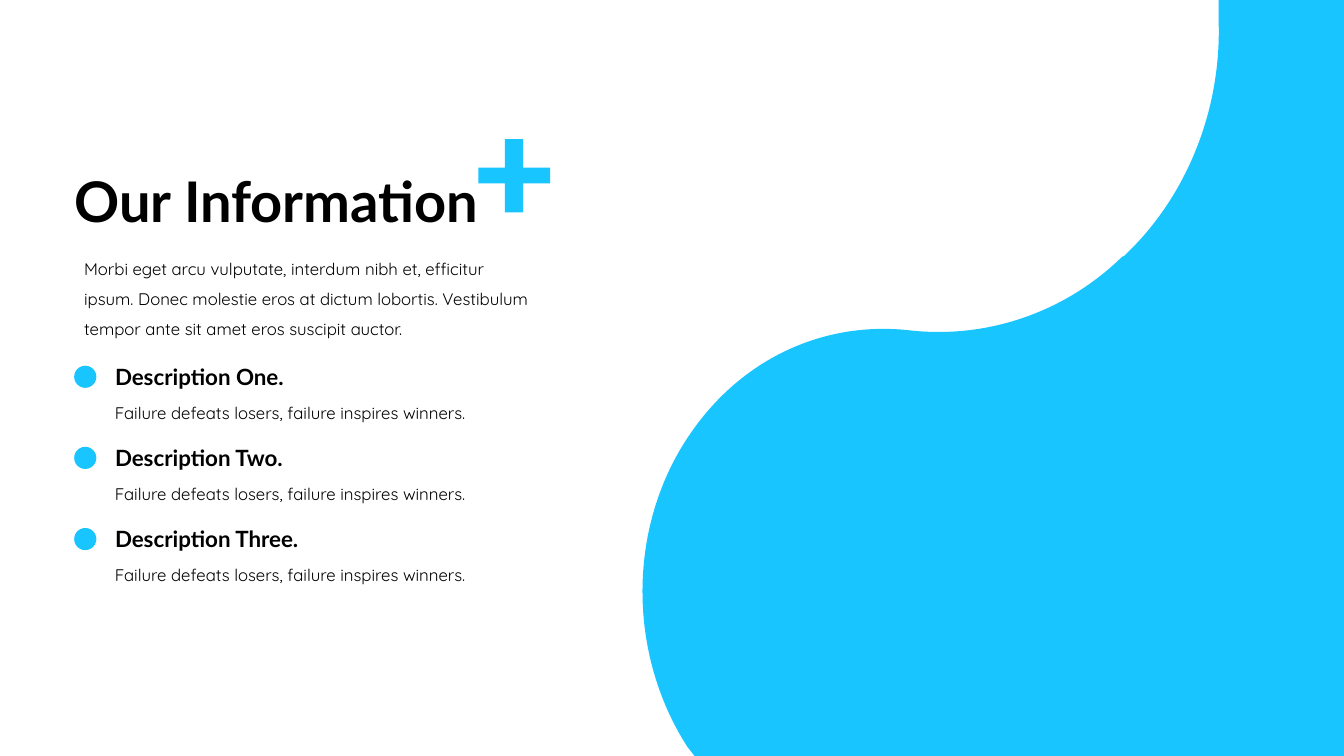
from dataclasses import dataclass

from lxml import etree
from pptx import Presentation
from pptx.dml.color import RGBColor
from pptx.enum.shapes import MSO_SHAPE
from pptx.enum.text import MSO_ANCHOR, MSO_AUTO_SIZE, PP_ALIGN
from pptx.oxml.ns import qn
from pptx.util import Inches, Pt

OVAL = MSO_SHAPE.OVAL
TOP, MIDDLE = MSO_ANCHOR.TOP, MSO_ANCHOR.MIDDLE
LEFT, JUSTIFY = PP_ALIGN.LEFT, PP_ALIGN.JUSTIFY
GROW, FIXED = MSO_AUTO_SIZE.SHAPE_TO_FIT_TEXT, MSO_AUTO_SIZE.NONE

COLORS = {"accent": "19C5FF", "text": "000000"}
WIDTH, HEIGHT = Inches(13.333), Inches(7.5)
GRID = 100

Point = tuple[float, float]


@dataclass(frozen=True)
class TextStyle:
    font: str
    size: int
    bold: bool = False
    spacing: float | None = None
    align: PP_ALIGN = LEFT
    anchor: MSO_ANCHOR = TOP
    fit: MSO_AUTO_SIZE = GROW


@dataclass(frozen=True)
class Item:
    heading: str
    body: str


@dataclass(frozen=True)
class Segment:
    tag: str
    points: tuple[Point, ...]


TITLE = TextStyle("Lato", 40, bold=True, spacing=0.9, anchor=MIDDLE, fit=FIXED)
HEADING = TextStyle("Lato", 16, bold=True, anchor=MIDDLE)
INTRO = TextStyle("Quicksand", 12, spacing=1.5)
BODY = TextStyle("Quicksand", 12, spacing=1.5, align=JUSTIFY)

MOTTO = "Failure defeats losers, failure inspires winners."
ITEMS = [Item(f"Description {number}.", MOTTO) for number in ("One", "Two", "Three")]
ITEM_TOP, ITEM_PITCH = 47.33, 10.73
MARGIN, ITEM_LEFT = 5.52, 7.82

WAVE_LEFT = 47.78
WAVE = [
    Segment("a:moveTo", ((90.68, 0),)),
    Segment("a:lnTo", ((100, 0),)),
    Segment("a:lnTo", ((100, 100),)),
    Segment("a:lnTo", ((51.68, 100),)),
    Segment("a:lnTo", ((51.15, 98.8),)),
    Segment("a:cubicBezTo", ((46.65, 86.4), (46.65, 69.47), (51.38, 57.33))),
    Segment("a:cubicBezTo", ((55.35, 47.07), (61.58, 42.4), (67.8, 43.73))),
    Segment("a:cubicBezTo", ((73.5, 44.8), (79.2, 41.33), (83.4, 34.13))),
    Segment("a:cubicBezTo", ((83.48, 34), (83.55, 33.87), (83.63, 33.87))),
    Segment("a:cubicBezTo", ((88.2, 26.27), (90.83, 14.93), (90.68, 3.2))),
    Segment("a:close", ()),
]

PLUS_COLS = (35.6, 37.57, 38.92, 40.93)
PLUS_ROWS = (18.4, 22.17, 24.27, 28.1)
PLUS_CORNERS = [(1, 0), (2, 0), (2, 1), (3, 1), (3, 2), (2, 2),
                (2, 3), (1, 3), (1, 2), (0, 2), (0, 1), (1, 1)]


def col(n: float) -> int:
    return round(WIDTH * n / GRID)


def row(n: float) -> int:
    return round(HEIGHT * n / GRID)


def paint(sp) -> None:
    sp.shadow.inherit = False
    sp.fill.solid()
    sp.fill.fore_color.rgb = RGBColor.from_string(COLORS["accent"])
    sp.line.fill.background()


def add_outline(shapes, points: list[Point]):
    corners = [(col(x), row(y)) for x, y in points]
    builder = shapes.build_freeform(*corners[0])
    builder.add_line_segments(corners[1:], close=True)
    sp = builder.convert_to_shape()
    paint(sp)
    return sp


def add_wave(shapes) -> None:
    sp = add_outline(shapes, [(WAVE_LEFT, 0), (GRID, 0), (GRID, GRID), (WAVE_LEFT, GRID)])
    outline = next(sp.element.iter(qn("a:path")))
    for child in list(outline):
        outline.remove(child)
    for segment in WAVE:
        step = etree.SubElement(outline, qn(segment.tag))
        for x, y in segment.points:
            etree.SubElement(step, qn("a:pt"), x=str(col(x) - col(WAVE_LEFT)), y=str(row(y)))


def add_text(shapes, text: str, style: TextStyle,
             left: float, top: float, width: float, height: float) -> None:
    sp = shapes.add_textbox(col(left), row(top), col(width), row(height))
    tf = sp.text_frame
    tf.word_wrap = True
    tf.auto_size = style.fit
    tf.vertical_anchor = style.anchor
    p = tf.paragraphs[0]
    p.text = text
    p.alignment = style.align
    p.line_spacing = style.spacing
    p.font.name = style.font
    p.font.size = Pt(style.size)
    p.font.bold = style.bold
    p.font.color.rgb = RGBColor.from_string(COLORS["text"])


def add_item(shapes, item: Item, top: float) -> None:
    group = shapes.add_group_shape().shapes
    add_text(group, item.heading, HEADING, ITEM_LEFT, top, 21.38, 4.93)
    add_text(group, item.body, BODY, ITEM_LEFT, top + 3.97, 30.38, 5.33)
    paint(group.add_shape(OVAL, col(MARGIN), row(top + 1.05), col(1.65), row(2.93)))


def main() -> None:
    prs = Presentation()
    prs.slide_width, prs.slide_height = WIDTH, HEIGHT
    s = prs.slides.add_slide(prs.slide_layouts[6])
    add_wave(s.shapes)
    for i, item in enumerate(ITEMS):
        add_item(s.shapes, item, ITEM_TOP + i * ITEM_PITCH)
    add_text(s.shapes, "Morbi eget arcu vulputate, interdum nibh et, efficitur ipsum. "
             "Donec molestie eros at dictum lobortis. Vestibulum tempor ante sit amet "
             "eros suscipit auctor.", INTRO, MARGIN, 32.2, 34.58, 13.47)
    add_outline(s.shapes, [(PLUS_COLS[x], PLUS_ROWS[y]) for x, y in PLUS_CORNERS])
    add_text(s.shapes, "Our Information", TITLE, 4.8, 17.33, 38.1, 19.33)
    prs.save("out.pptx")


if __name__ == "__main__":
    main()
